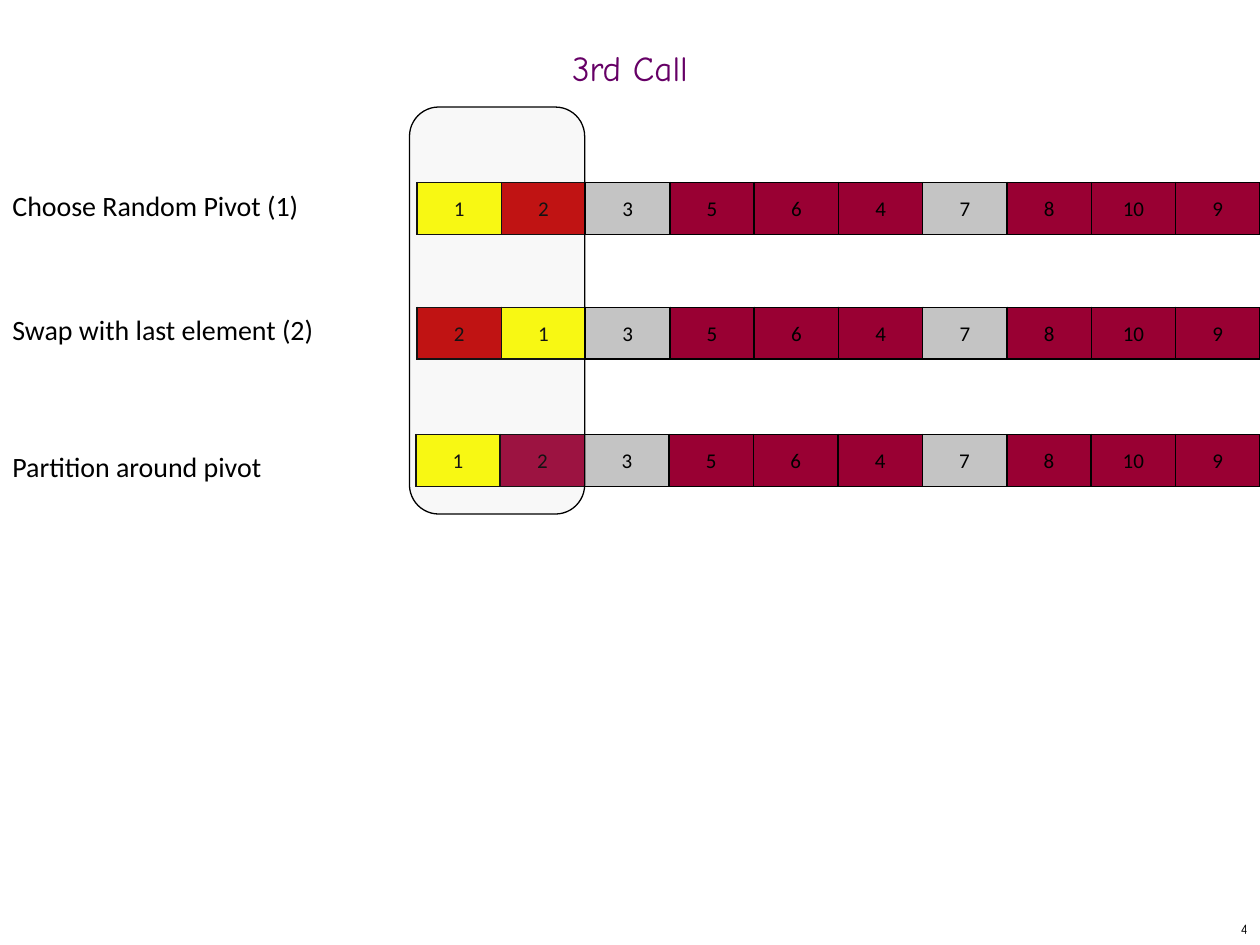
"""Builds the slide that shows the third call of a randomised quicksort."""
import pptx
import pptx.dml.color
import pptx.enum.shapes
import pptx.enum.text
import pptx.oxml
import pptx.oxml.ns
import pptx.util

Inches = pptx.util.Inches
Align = pptx.enum.text.PP_ALIGN
Anchor = pptx.enum.text.MSO_ANCHOR

THEME = {
    "ink": "000000", "title": "660066", "frame": "C0C0C0",
    "pivot": "FFFF00", "active": "C00000", "placed": "C4C4C4", "other": "990033",
    "display_font": "Comic Neue", "body_font": "Calibri",
    "title_size": 20, "label_size": 16, "cell_size": 12, "number_size": 8,
}

TITLE = "3rd Call"
PAGE_NUMBER = "4"
REST = [(3, "placed"), (5, "other"), (6, "other"), (4, "other"),
        (7, "placed"), (8, "other"), (10, "other"), (9, "other")]
STEPS = [
    ("Choose Random Pivot (1)", 1.45, 3.31, 1.45, [(1, "pivot"), (2, "active")]),
    ("Swap with last element (2)", 2.43, 3.31, 2.44, [(2, "active"), (1, "pivot")]),
    ("Partition around pivot", 3.52, 3.30, 3.45, [(1, "pivot"), (2, "other")]),
]
LAST_LEFT, CELL_WIDTH, CELL_HEIGHT = 9.33, 0.67, 0.41


def colour(name):
    return pptx.dml.color.RGBColor.from_string(THEME[name])


def write(frame, text, size, font="body_font", ink="ink", align=Align.LEFT):
    para = frame.paragraphs[0]
    para.alignment = align
    span = para.add_run()
    span.text = text
    span.font.name = THEME[font]
    span.font.size = pptx.util.Pt(THEME[size])
    span.font.color.rgb = colour(ink)
    return para


def add_label(page, text, left, top, width, height):
    box = page.shapes.add_textbox(*map(Inches, (left, top, width, height)))
    box.text_frame.word_wrap = True
    box.text_frame.auto_size = pptx.enum.text.MSO_AUTO_SIZE.SHAPE_TO_FIT_TEXT
    write(box.text_frame, text, "label_size")


def add_borders(cell):
    properties = cell._tc.get_or_add_tcPr()
    for position, side in enumerate(("lnL", "lnR", "lnT", "lnB")):
        properties.insert(position, pptx.oxml.parse_xml(
            f'<a:{side} {pptx.oxml.ns.nsdecls("a")} w="12700"><a:solidFill>'
            f'<a:srgbClr val="{THEME["ink"]}"/></a:solidFill></a:{side}>'))


def add_cell(page, value, fill, left, top):
    area = map(Inches, (left, top, CELL_WIDTH, CELL_HEIGHT))
    table = page.shapes.add_table(1, 1, *area).table
    table.first_row = table.horz_banding = False
    cell = table.cell(0, 0)
    cell.margin_left = cell.margin_right = cell.margin_top = Inches(0.01)
    cell.margin_bottom = 0
    cell.vertical_anchor = Anchor.MIDDLE
    cell.fill.solid()
    cell.fill.fore_color.rgb = colour(fill)
    add_borders(cell)
    write(cell.text_frame, str(value), "cell_size", align=Align.CENTER)


def add_frame(page):
    frame = page.shapes.add_shape(
        pptx.enum.shapes.MSO_SHAPE.ROUNDED_RECTANGLE,
        *map(Inches, (3.25, 0.85, 1.39, 3.23)))
    frame.shadow.inherit = False
    frame.fill.solid()
    frame.fill.fore_color.rgb = colour("frame")
    tint = frame._element.spPr.find(".//" + pptx.oxml.ns.qn("a:srgbClr"))
    tint.append(pptx.oxml.parse_xml(
        f'<a:alpha {pptx.oxml.ns.nsdecls("a")} val="10000"/>'))
    frame.line.color.rgb = colour("ink")
    frame.line.width = pptx.util.Pt(0.75)


def add_title(page):
    title = page.shapes.title
    title.left, title.top, title.width, title.height = map(Inches, (0, 0.33, 10, 0.5))
    title.text_frame.vertical_anchor = Anchor.MIDDLE
    para = write(title.text_frame, TITLE, "title_size", "display_font", "title", Align.CENTER)
    para.line_spacing = 0.7


def add_page_number(page):
    box = page.shapes.add_textbox(*map(Inches, (7.92, 7.25, 2.08, 0.25)))
    box.text_frame.word_wrap = False
    box.text_frame.vertical_anchor = Anchor.MIDDLE
    write(box.text_frame, PAGE_NUMBER, "number_size", "display_font", align=Align.RIGHT)


def main():
    deck = pptx.Presentation()
    deck.slide_width, deck.slide_height = Inches(10), Inches(7.5)
    page = deck.slides.add_slide(deck.slide_layouts[5])
    add_title(page)
    add_page_number(page)
    for label, label_top, *_ in STEPS:
        add_label(page, label, 0, label_top, 2.62, 0.37)
    for _, _, left, top, start in STEPS:
        values = start + REST
        pitch = (LAST_LEFT - left) / (len(values) - 1)
        for column, (value, fill) in enumerate(values):
            add_cell(page, value, fill, left + column * pitch, top)
    add_frame(page)
    deck.save("out.pptx")


if __name__ == "__main__":
    main()
